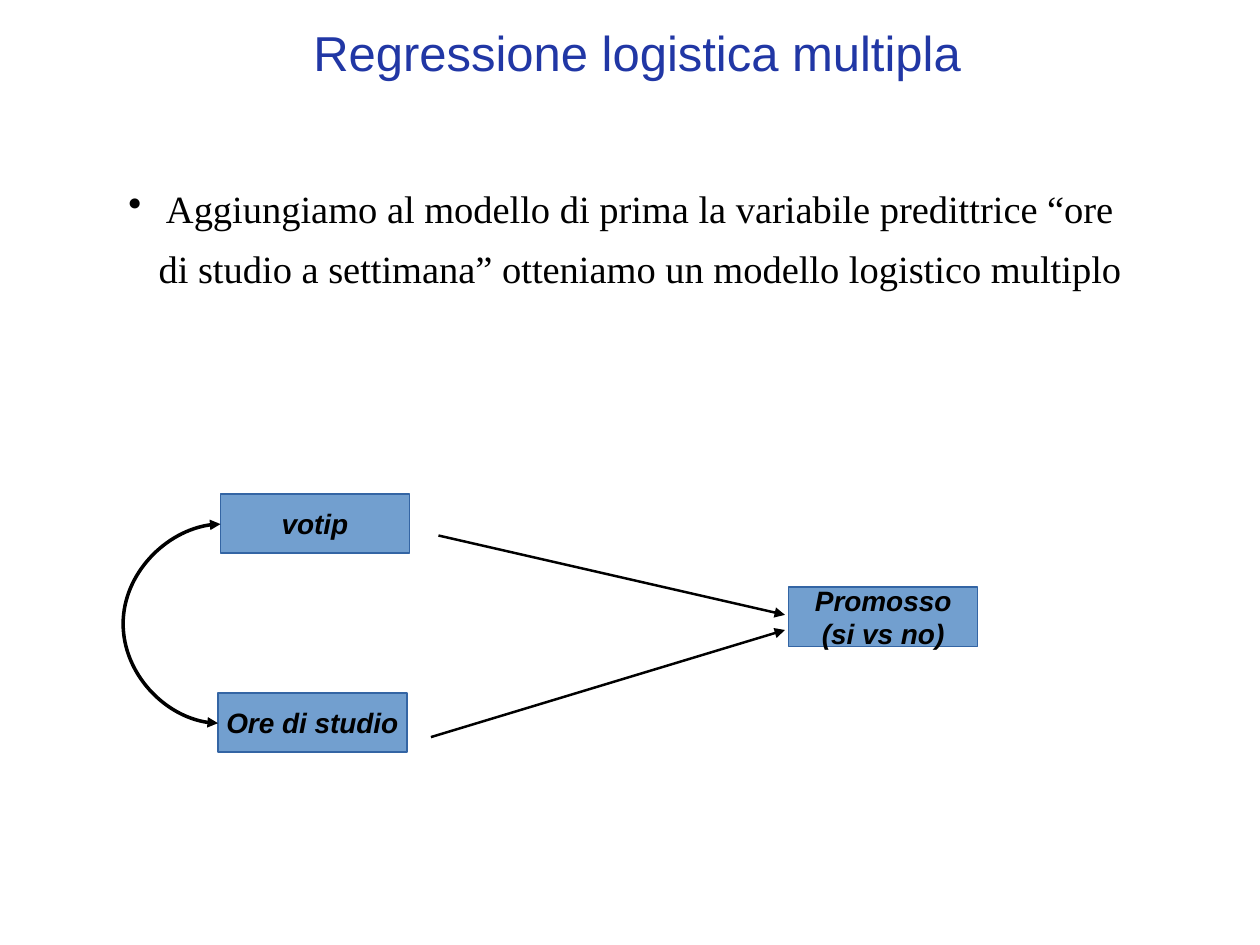
from lxml.etree import SubElement
from pptx import Presentation
from pptx.dml.color import RGBColor
from pptx.enum.shapes import MSO_CONNECTOR as LINK, MSO_SHAPE
from pptx.enum.text import MSO_ANCHOR as ANCHOR, PP_ALIGN as ALIGN
from pptx.oxml.ns import qn
from pptx.util import Inches, Pt

COLORS = {"title": "2137A5", "text": "000000", "box": "729FCF", "edge": "3465A4"}

deck = Presentation()
deck.slide_width, deck.slide_height = Inches(10), Inches(7.5)
slide = deck.slides.add_slide(deck.slide_layouts[6])

# Grid of 100 columns by 75 rows
COL, ROW = deck.slide_width / 100, deck.slide_height / 75


def grid(*lengths):
    """Turn alternating columns and rows into slide lengths."""
    return [round(n * (ROW if i % 2 else COL)) for i, n in enumerate(lengths)]


def style(paragraph, font_name, size, color):
    font = paragraph.font
    font.name, font.size = font_name, Pt(size)
    font.color.rgb = RGBColor.from_string(COLORS[color])


# Title
title = slide.shapes.add_textbox(*grid(14.8, 0.8, 71.5, 6.7)).text_frame
title.word_wrap = True
title.vertical_anchor = ANCHOR.MIDDLE
title.text = "Regressione logistica multipla"
title.paragraphs[0].alignment = ALIGN.CENTER
style(title.paragraphs[0], "Arial", 28, "title")

# Bulleted explanation
explanation = slide.shapes.add_textbox(*grid(9.2, 13.1, 81.7, 21.4)).text_frame
explanation.word_wrap = True
explanation.text = (" Aggiungiamo al modello di prima la variabile predittrice “ore di studio "
                    "a settimana” otteniamo un modello logistico multiplo")
sentence = explanation.paragraphs[0]
sentence.line_spacing = 1.3
bullet_props = sentence._p.get_or_add_pPr()
bullet_props.set("marL", str(Inches(0.24)))
bullet_props.set("indent", str(-Inches(0.24)))
SubElement(bullet_props, qn("a:buChar")).set("char", "•")
style(sentence, "Times New Roman", 22, "text")

# Variables of the model
variables = [
    ("votip", 17.5, 39.2),
    ("Promosso\n(si vs no)", 62.6, 46.6),
    ("Ore di studio", 17.3, 55),
]
for label, left, top in variables:
    variable = slide.shapes.add_shape(MSO_SHAPE.RECTANGLE, *grid(left, top, 15, 4.7))
    variable.shadow.inherit = False
    variable.fill.solid()
    variable.fill.fore_color.rgb = RGBColor.from_string(COLORS["box"])
    variable.line.color.rgb = RGBColor.from_string(COLORS["edge"])
    variable.line.width = Pt(0)
    frame = variable.text_frame
    frame.word_wrap = False
    frame.vertical_anchor = ANCHOR.MIDDLE
    frame.text = label
    for paragraph in frame.paragraphs:
        paragraph.alignment = ALIGN.CENTER
        style(paragraph, "Arial", 16, "text")
        paragraph.font.bold = paragraph.font.italic = True

# Effects on the outcome, and the correlation between the predictors
relations = [
    (LINK.STRAIGHT, (34.2, 58.5, 62.3, 50), 1.42, ["tailEnd"]),
    (LINK.STRAIGHT, (34.8, 42.5, 62.3, 48.8), 1.42, ["tailEnd"]),
    (LINK.CURVE, (17.3, 57.4, 17.5, 41.6), 0, ["headEnd", "tailEnd"]),
]
for kind, ends, width, arrowheads in relations:
    relation = slide.shapes.add_connector(kind, *grid(*ends))
    relation.line.color.rgb = RGBColor.from_string(COLORS["text"])
    relation.line.width = Pt(width)
    for arrowhead in arrowheads:
        SubElement(relation.line._get_or_add_ln(), qn(f"a:{arrowhead}")).set("type", "triangle")
    SubElement(relation._element.spPr, qn("a:effectLst"))
    if kind == LINK.CURVE:
        # Bulge 7.5 columns to the left, as a multiple of the connector's width
        bulge = round(-7.5 * COL / relation.width * 100000)
        geometry = relation._element.spPr.find(qn("a:prstGeom"))
        guide = SubElement(geometry.find(qn("a:avLst")), qn("a:gd"))
        guide.set("name", "adj1")
        guide.set("fmla", f"val {bulge}")

deck.save("out.pptx")
